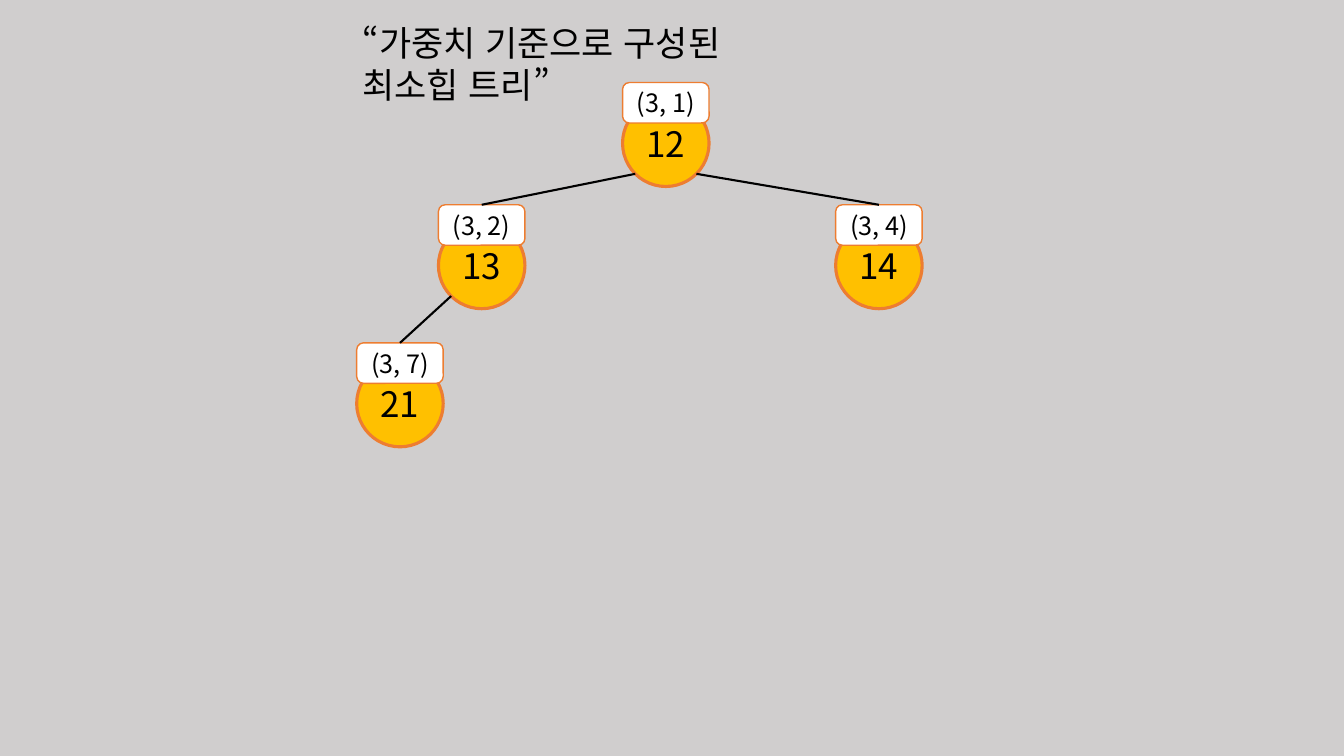
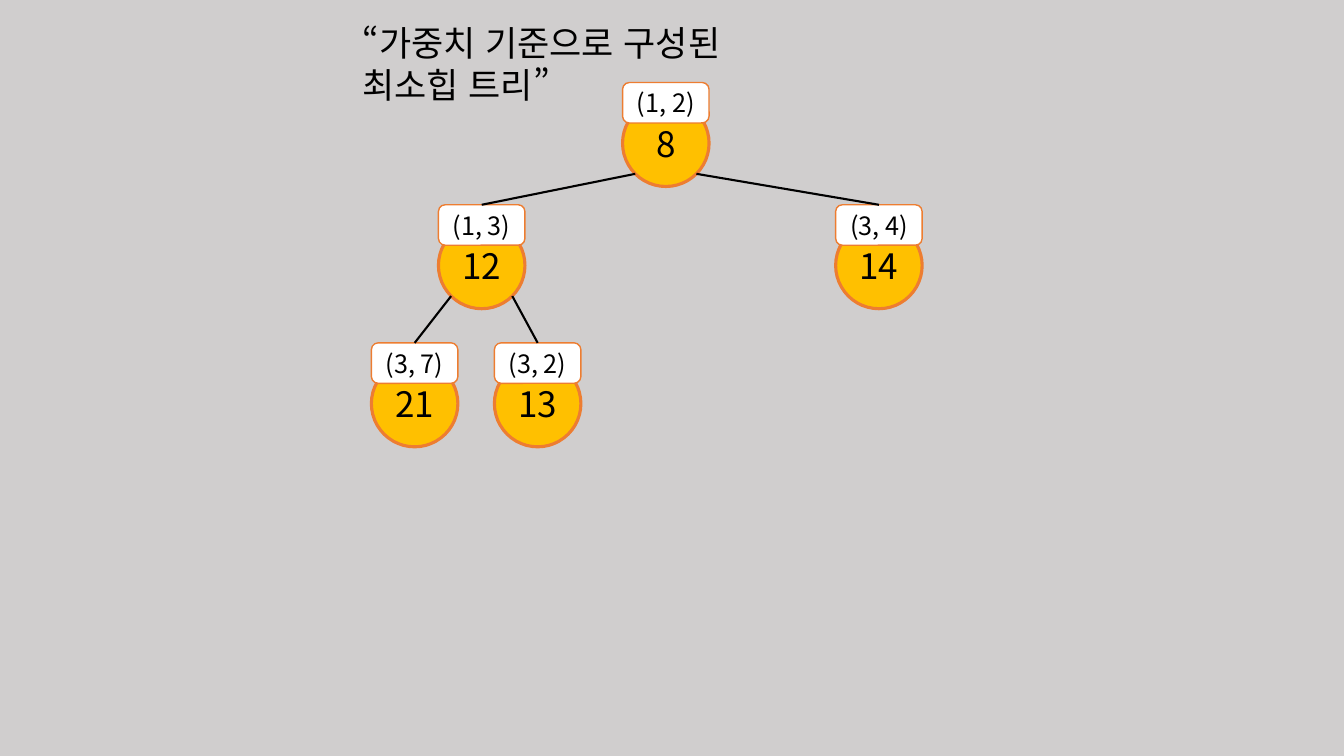
import math
from dataclasses import dataclass

import pptx
import pptx.dml.color
import pptx.enum.shapes
import pptx.enum.text
import pptx.oxml
import pptx.oxml.ns
import pptx.util

Cm = pptx.util.Cm
Pt = pptx.util.Pt
RGB = pptx.dml.color.RGBColor
Preset = pptx.enum.shapes.MSO_SHAPE


@dataclass(frozen=True)
class Theme:
    background: RGB = RGB.from_string("D0CECE")
    ink: RGB = RGB.from_string("000000")
    circle: RGB = RGB.from_string("FFC000")
    label: RGB = RGB.from_string("FFFFFF")
    outline: RGB = RGB.from_string("ED7D31")
    font: str = "Noto Sans CJK KR"
    title_size: int = 25
    title_spacing: int = 30
    weight_size: int = 25
    label_size: int = 18
    circle_line: float = 2.25
    label_line: float = 1
    edge_line: float = 1.5


@dataclass(frozen=True)
class HeapNode:
    weight: int
    edge: tuple[int, int]
    center: float
    children: tuple["HeapNode", ...] = ()


THEME = Theme()
TITLE = "“가중치 기준으로 구성된 최소힙 트리”"

# Lengths in centimetres
DIAMETER = 2.18
LABEL_HEIGHT = 1.02
CIRCLE_DROP = 0.44  # from the top of a label to the top of its circle
LEVEL_TOPS = (2.08, 5.16, 8.64)
ROOT, LEFT, RIGHT = 16.78, 12.14, 22.15

RIGHT_CHILD = HeapNode(14, (3, 4), RIGHT)
HEAPS = (
    HeapNode(12, (3, 1), ROOT, (
        HeapNode(13, (3, 2), LEFT, (HeapNode(21, (3, 7), 10.08),)),
        RIGHT_CHILD,
    )),
    HeapNode(8, (1, 2), ROOT, (
        HeapNode(12, (1, 3), LEFT, (
            HeapNode(21, (3, 7), 10.45),
            HeapNode(13, (3, 2), 13.55),
        )),
        RIGHT_CHILD,
    )),
)


def set_font(paragraph, size: float) -> None:
    """Style a paragraph, with the theme font for Korean text too."""
    paragraph.font.name = THEME.font
    paragraph.font.size = Pt(size)
    paragraph.font.color.rgb = THEME.ink
    for run in paragraph.runs:
        properties = run._r.get_or_add_rPr()
        properties.set("lang", "ko-KR")
        east_asian = pptx.oxml.parse_xml(
            f'<a:ea {pptx.oxml.ns.nsdecls("a")} typeface="{THEME.font}"/>')
        properties.append(east_asian)


def add_title(slide) -> None:
    title = slide.shapes.add_textbox(Cm(8.89), Cm(0.43), Cm(12.09), Cm(1.32))
    frame = title.text_frame
    frame.word_wrap = True
    frame.auto_size = pptx.enum.text.MSO_AUTO_SIZE.SHAPE_TO_FIT_TEXT
    paragraph = frame.paragraphs[0]
    paragraph.text = TITLE
    paragraph.line_spacing = Pt(THEME.title_spacing)
    set_font(paragraph, THEME.title_size)


def add_part(group, preset: Preset, left: float, top: float, height: float,
             text: str, size: float, fill: RGB, line_width: float):
    """Add the circle or the label of a node."""
    part = group.shapes.add_shape(
        preset, Cm(left), Cm(top), Cm(DIAMETER), Cm(height))
    part.shadow.inherit = False
    part.fill.solid()
    part.fill.fore_color.rgb = fill
    part.line.color.rgb = THEME.outline
    part.line.width = Pt(line_width)
    frame = part.text_frame
    frame.margin_left = frame.margin_right = 0
    frame.margin_top = frame.margin_bottom = 0
    frame.vertical_anchor = pptx.enum.text.MSO_ANCHOR.MIDDLE
    paragraph = frame.paragraphs[0]
    paragraph.text = text
    paragraph.alignment = pptx.enum.text.PP_ALIGN.CENTER
    set_font(paragraph, size)
    return part


def add_edge(slide, parent: HeapNode, child: HeapNode, level: int,
             child_label) -> None:
    """Join the parent's circle, at 45 degrees, to the child's label."""
    reach = DIAMETER / 2 * math.sqrt(0.5)
    start_x = parent.center + math.copysign(reach, child.center - parent.center)
    start_y = LEVEL_TOPS[level] + CIRCLE_DROP + DIAMETER / 2 + reach
    edge = slide.shapes.add_connector(
        pptx.enum.shapes.MSO_CONNECTOR.STRAIGHT, Cm(start_x), Cm(start_y),
        Cm(child.center), Cm(LEVEL_TOPS[level + 1]))
    edge.end_connect(child_label, 0)
    edge.line.color.rgb = THEME.ink
    edge.line.width = Pt(THEME.edge_line)
    edge._element.spPr.append(pptx.oxml.parse_xml(
        f'<a:effectLst {pptx.oxml.ns.nsdecls("a")}/>'))


def add_heap(slide, node: HeapNode, level: int = 0):
    """Draw a node and all below it; return the node's label."""
    left, top = node.center - DIAMETER / 2, LEVEL_TOPS[level]
    group = slide.shapes.add_group_shape()
    add_part(group, Preset.OVAL, left, top + CIRCLE_DROP, DIAMETER,
             str(node.weight), THEME.weight_size, THEME.circle,
             THEME.circle_line)
    label = add_part(group, Preset.ROUNDED_RECTANGLE, left, top, LABEL_HEIGHT,
                     str(node.edge), THEME.label_size, THEME.label,
                     THEME.label_line)
    for child in node.children:
        child_label = add_heap(slide, child, level + 1)
        add_edge(slide, node, child, level, child_label)
    return label


def main() -> None:
    deck = pptx.Presentation()
    deck.slide_width, deck.slide_height = Cm(33.87), Cm(19.05)
    for heap in HEAPS:
        slide = deck.slides.add_slide(deck.slide_layouts[6])
        slide.background.fill.solid()
        slide.background.fill.fore_color.rgb = THEME.background
        add_title(slide)
        add_heap(slide, heap)
    deck.save("out.pptx")


if __name__ == "__main__":
    main()
